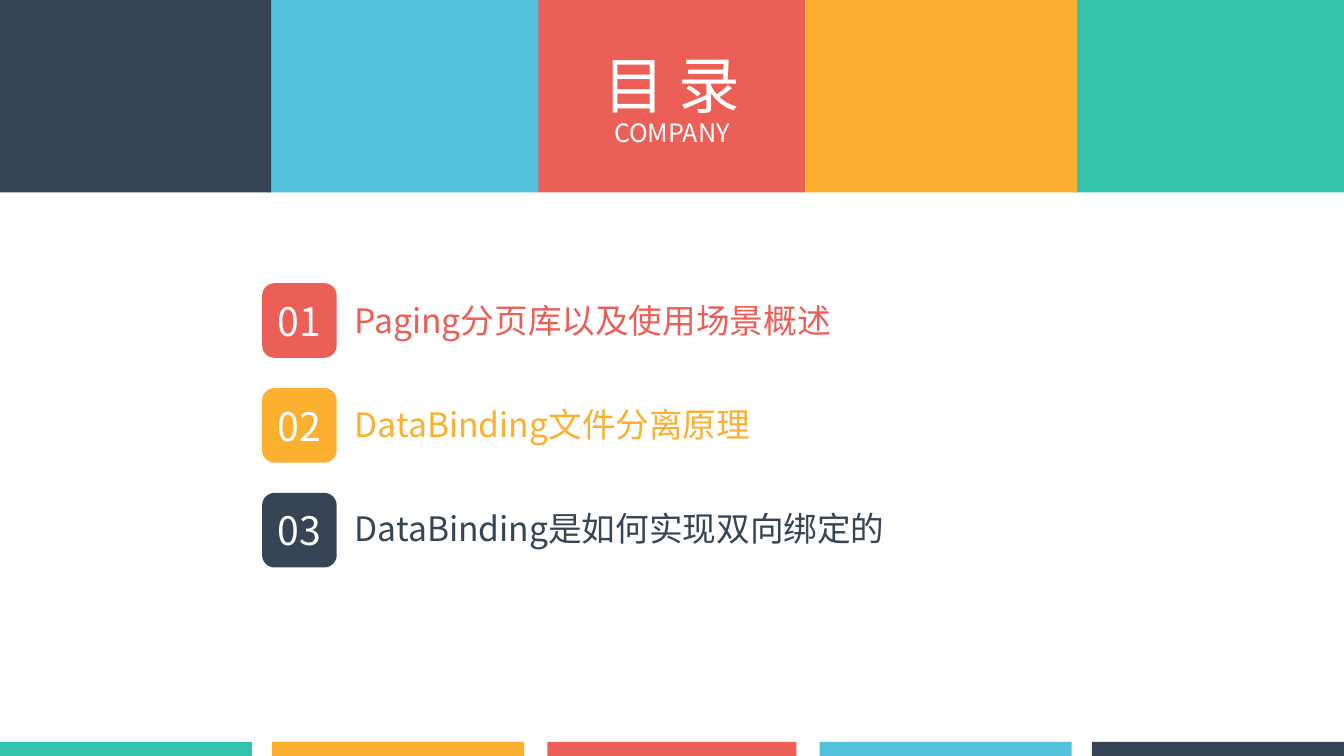
"""Build a contents slide with colour bands and three numbered topics."""
from lxml import etree
from pptx import Presentation
from pptx.dml.color import RGBColor
from pptx.enum import shapes, text
from pptx.oxml import ns
from pptx.util import Inches, Pt

FONT = "Noto Sans CJK SC"
WHITE = RGBColor(0xFF, 0xFF, 0xFF)
GREEN = RGBColor(0x33, 0xC3, 0xAB)
YELLOW = RGBColor(0xFC, 0xB0, 0x30)
RED = RGBColor(0xEB, 0x5F, 0x56)
BLUE = RGBColor(0x52, 0xC2, 0xDC)
NAVY = RGBColor(0x36, 0x45, 0x55)

presentation = Presentation()
presentation.slide_width = Inches(13.33)
presentation.slide_height = Inches(7.5)
slide = presentation.slides.add_slide(presentation.slide_layouts[5])


def add_block(preset, left, top, width, height, color):
    shape = slide.shapes.add_shape(
        preset, Inches(left), Inches(top), Inches(width), Inches(height))
    shape.shadow.inherit = False
    shape.fill.solid()
    shape.fill.fore_color.rgb = color
    shape.line.fill.background()
    return shape


def write(paragraph, content, size, color, alignment):
    paragraph.text = content
    paragraph.alignment = alignment
    paragraph.font.size = Pt(size)
    paragraph.font.color.rgb = color
    paragraph.font.name = FONT
    properties = paragraph.font._element
    etree.SubElement(properties, ns.qn("a:ea"), typeface=FONT)


RECTANGLE = shapes.MSO_SHAPE.RECTANGLE
header_bands = [
    (10.64, 2.69, GREEN), (7.99, 2.69, YELLOW), (5.33, 2.66, RED),
    (2.65, 2.69, BLUE), (0, 2.69, NAVY),
]
for left, width, color in header_bands:
    add_block(RECTANGLE, left, 0, width, 1.91, color)

footer_bands = [
    (0, 2.5, GREEN), (2.7, 2.5, YELLOW), (5.43, 2.47, RED),
    (8.13, 2.5, BLUE), (10.83, 2.5, NAVY),
]
for left, width, color in footer_bands:
    add_block(RECTANGLE, left, 7.36, width, 0.14, color)

title = slide.shapes.title
slide.shapes._spTree.append(title._element)
title.left, title.top = Inches(5.85), Inches(0.37)
title.width, title.height = Inches(1.63), Inches(1.18)
frame = title.text_frame
frame.word_wrap = False
frame.auto_size = text.MSO_AUTO_SIZE.NONE
frame.vertical_anchor = text.MSO_ANCHOR.TOP
title_lines = [("目 录", 44, 56), ("COMPANY", 18, 19)]
for index, (content, size, spacing) in enumerate(title_lines):
    paragraph = frame.add_paragraph() if index else frame.paragraphs[0]
    paragraph.line_spacing = Pt(spacing)
    write(paragraph, content, size, WHITE, text.PP_ALIGN.CENTER)

topics = [
    ("Paging分页库以及使用场景概述", 6.3, RED),
    ("DataBinding文件分离原理", 6.88, YELLOW),
    ("DataBinding是如何实现双向绑定的", 8.16, NAVY),
]
for index, (topic, width, color) in enumerate(topics):
    badge = add_block(shapes.MSO_SHAPE.ROUNDED_RECTANGLE,
                      2.6, 2.81 + 1.04 * index, 0.74, 0.74, color)
    badge.text_frame.vertical_anchor = text.MSO_ANCHOR.MIDDLE
    write(badge.text_frame.paragraphs[0], f"{index + 1:02}", 28, WHITE,
          text.PP_ALIGN.CENTER)

    label = slide.shapes.add_textbox(
        Inches(3.42), Inches(2.93 + 1.03 * index), Inches(width), Inches(0.5))
    label.text_frame.word_wrap = True
    label.text_frame.vertical_anchor = text.MSO_ANCHOR.MIDDLE
    write(label.text_frame.paragraphs[0], topic, 24, color, text.PP_ALIGN.LEFT)

presentation.save("out.pptx")
